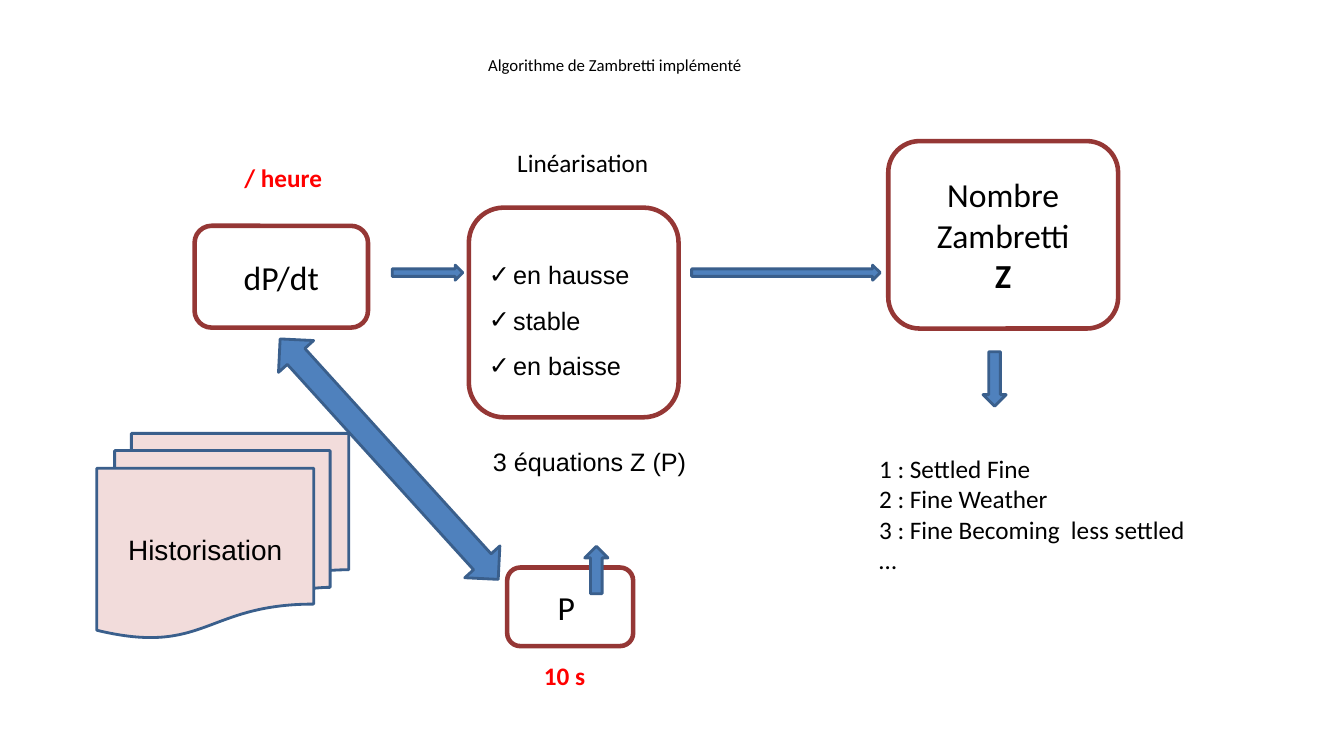
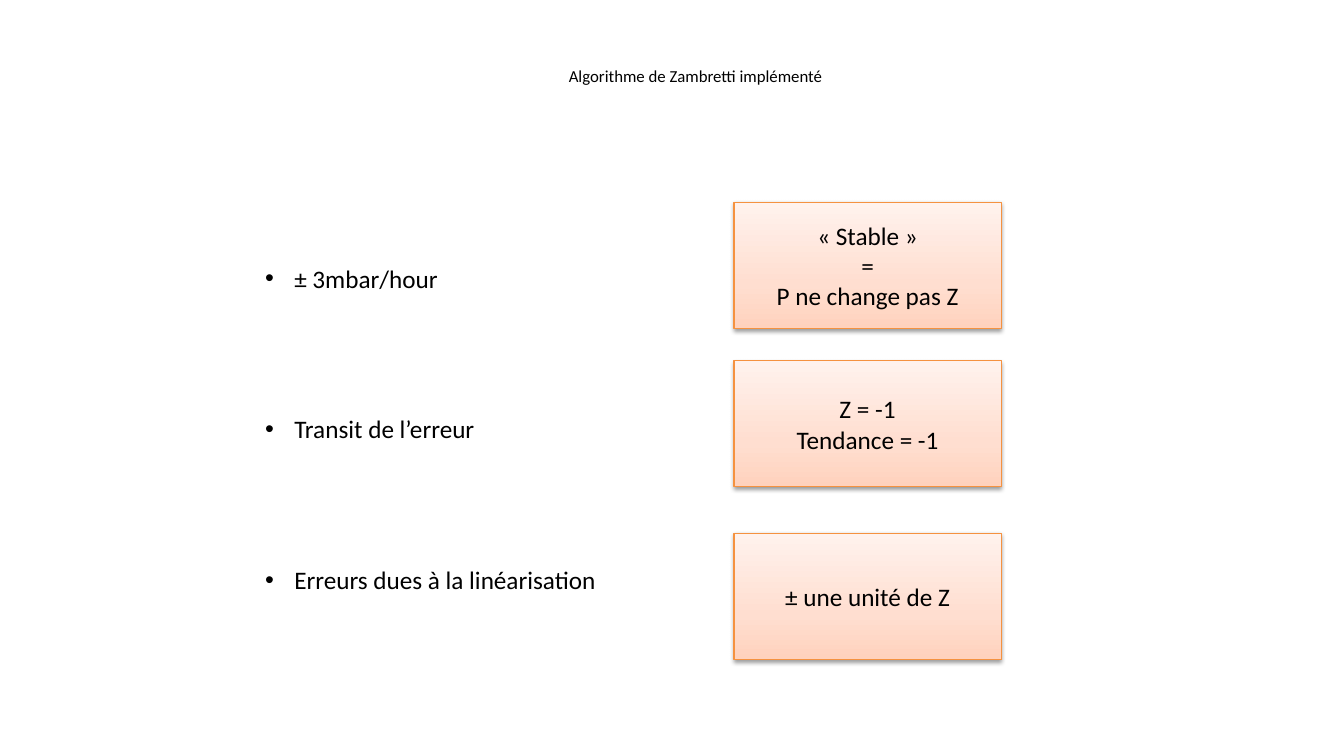
from dataclasses import dataclass

from lxml import etree
from pptx import Presentation
from pptx.dml.color import RGBColor
from pptx.enum.shapes import MSO_SHAPE
from pptx.enum.text import MSO_ANCHOR, PP_ALIGN
from pptx.oxml.ns import qn
from pptx.util import Inches, Pt

ROUNDED = MSO_SHAPE.ROUNDED_RECTANGLE
RECTANGLE = MSO_SHAPE.RECTANGLE
DOCUMENTS = MSO_SHAPE.FLOWCHART_MULTIDOCUMENT
RIGHT_ARROW = MSO_SHAPE.RIGHT_ARROW
DOWN_ARROW = MSO_SHAPE.DOWN_ARROW
UP_ARROW = MSO_SHAPE.UP_ARROW
TWO_WAY_ARROW = MSO_SHAPE.LEFT_RIGHT_ARROW
LEFT, CENTER = PP_ALIGN.LEFT, PP_ALIGN.CENTER
TOP, MIDDLE = MSO_ANCHOR.TOP, MSO_ANCHOR.MIDDLE


@dataclass(frozen=True)
class Theme:
    text: str = "000000"
    alert: str = "FF0000"
    frame: str = "953735"
    arrow: str = "4F81BD"
    arrow_edge: str = "3A5F8C"
    document: str = "F2DCDB"
    card_edge: str = "F59240"
    card_stops: tuple = ((0, "FFD2BD"), (35, "FFDED0"), (100, "FFF2ED"))
    font: str = "Calibri"
    alt_font: str = "Arial"
    title_size: int = 12
    body_size: int = 18
    document_size: int = 20
    node_size: int = 24


THEME = Theme()
TITLE = "Algorithme de Zambretti implémenté"


def add_xml(parent, tag, **attributes):
    return etree.SubElement(parent, qn(tag), {name: str(value) for name, value in attributes.items()})


def add_bullet(para, mark, indent):
    """Give the paragraph a bullet with a hanging indent in inches."""
    properties = para._p.get_or_add_pPr()
    properties.set("marL", str(Inches(indent)))
    properties.set("indent", str(-Inches(indent)))
    add_xml(add_xml(properties, "a:buClr"), "a:srgbClr", val=THEME.text)
    add_xml(properties, "a:buFont", typeface=THEME.alt_font)
    add_xml(properties, "a:buChar", char=mark)


def write(shape, lines, size=THEME.body_size, font=THEME.font, color=THEME.text, bold=False,
          align=CENTER, anchor=MIDDLE, bullet=None, indent=0, line_spacing=None, gap=0):
    """Write one paragraph per line; gap is the space between them in points."""
    frame = shape.text_frame
    frame.word_wrap = True
    frame.vertical_anchor = anchor
    for index, line in enumerate(lines):
        para = frame.add_paragraph() if index else frame.paragraphs[0]
        para.alignment = align
        if bullet:
            add_bullet(para, bullet, indent)
        if line_spacing:
            para.line_spacing = line_spacing
        if index and gap:
            para.space_before = Pt(gap)
        span = para.add_run()
        span.text = line
        span.font.size = Pt(size)
        span.font.name = font
        span.font.bold = bold
        span.font.color.rgb = RGBColor.from_string(color)
    return frame


class Painter:
    def __init__(self, theme):
        self.theme = theme
        self.deck = Presentation()
        self.deck.slide_width, self.deck.slide_height = Inches(13.33), Inches(7.5)
        self.page = None

    def start_page(self, title_left, title_top):
        self.page = self.deck.slides.add_slide(self.deck.slide_layouts[6])
        self.label((title_left, title_top, 9, 0.69), TITLE, size=self.theme.title_size, anchor=MIDDLE)

    def label(self, area, *lines, anchor=TOP, **style):
        box = self.page.shapes.add_textbox(*map(Inches, area))
        write(box, lines, anchor=anchor, **style)

    def shape(self, kind, area, edge, width, fill=None):
        shape = self.page.shapes.add_shape(kind, *map(Inches, area))
        shape.shadow.inherit = False
        shape.line.color.rgb = RGBColor.from_string(edge)
        shape.line.width = Pt(width)
        if fill:
            shape.fill.solid()
            shape.fill.fore_color.rgb = RGBColor.from_string(fill)
        else:
            shape.fill.background()
        return shape

    def node(self, area, *lines, size=THEME.node_size, **style):
        shape = self.shape(ROUNDED, area, self.theme.frame, 3.25)
        return write(shape, lines, size=size, **style)

    def arrow(self, kind, area, rotation=0):
        self.shape(kind, area, self.theme.arrow_edge, 2, self.theme.arrow).rotation = rotation

    def documents(self, area, text):
        shape = self.shape(DOCUMENTS, area, self.theme.arrow_edge, 2, self.theme.document)
        write(shape, [text], size=self.theme.document_size, font=self.theme.alt_font)

    def card(self, area, *lines):
        """Draw a box with a gradient and a soft shadow below it."""
        shape = self.shape(RECTANGLE, area, self.theme.card_edge, 0.75)
        shape.fill.gradient()
        shape.fill.gradient_angle = 90
        properties = shape._element.spPr
        stops = properties.find(qn("a:gradFill")).find(qn("a:gsLst"))
        stops.clear()
        for percent, color in self.theme.card_stops:
            add_xml(add_xml(stops, "a:gs", pos=percent * 1000), "a:srgbClr", val=color)
        shadow = add_xml(properties.find(qn("a:effectLst")), "a:outerShdw", blurRad=Pt(3.1),
                         dist=Pt(1.6), dir=90 * 60000, rotWithShape=0)
        add_xml(add_xml(shadow, "a:srgbClr", val=self.theme.text), "a:alpha", val=38000)
        write(shape, lines)


def draw_algorithm(painter):
    painter.start_page(1.6, 0.3)
    painter.node((1.93, 2.24, 1.72, 1.01), "dP/dt")
    painter.node((5.03, 5.63, 1.25, 0.78), "P ")
    painter.node((4.65, 2.06, 2.08, 2.08), "en hausse", "stable", "en baisse",
                 size=THEME.body_size, font=THEME.alt_font, align=LEFT,
                 bullet="✓", indent=0.24, line_spacing=1.5)
    result = painter.node((8.81, 1.4, 2.28, 1.86), "Nombre", "Zambretti", "Z")
    result.paragraphs[-1].runs[0].font.bold = True

    painter.arrow(RIGHT_ARROW, (3.89, 2.63, 0.7, 0.15))
    painter.arrow(RIGHT_ARROW, (6.86, 2.63, 1.87, 0.15))
    painter.arrow(DOWN_ARROW, (9.75, 3.49, 0.23, 0.54))
    painter.arrow(UP_ARROW, (5.8, 5.42, 0.23, 0.47))
    painter.arrow(TWO_WAY_ARROW, (2.25, 4.32, 3.22, 0.47), rotation=47.8)
    painter.documents((0.96, 4.3, 2.5, 2.03), "Historisation")

    painter.label((2.06, 1.56, 1.5, 0.4), "/ heure", color=THEME.alert, bold=True)
    painter.label((4.82, 6.5, 1.56, 0.4), "10 s", color=THEME.alert, bold=True)
    painter.label((5.03, 1.41, 1.5, 0.7), "Linéarisation")
    painter.label((4.79, 4.38, 2.58, 0.4), "3 équations Z (P)", font=THEME.alt_font, align=LEFT)
    painter.label((8.62, 4.45, 3.28, 1.9), "1 : Settled Fine", "2 : Fine Weather",
                  "3 : Fine Becoming  less settled", "…", align=LEFT)


def draw_errors(painter):
    painter.start_page(2.4, 0.41)
    painter.label((2.53, 2.56, 4.61, 3.99), "± 3mbar/hour", "Transit de l’erreur",
                  "Erreurs dues à la linéarisation", align=LEFT, bullet="•", indent=0.29, gap=86)
    cards = ((2.01, ("« Stable »", "=", "P ne change pas Z")),
             (3.58, ("Z = -1", "Tendance = -1")),
             (5.29, ("± une unité de Z",)))
    for top, lines in cards:
        painter.card((7.28, top, 2.65, 1.25), *lines)


def main():
    painter = Painter(THEME)
    draw_algorithm(painter)
    draw_errors(painter)
    painter.deck.save("out.pptx")


if __name__ == "__main__":
    main()
